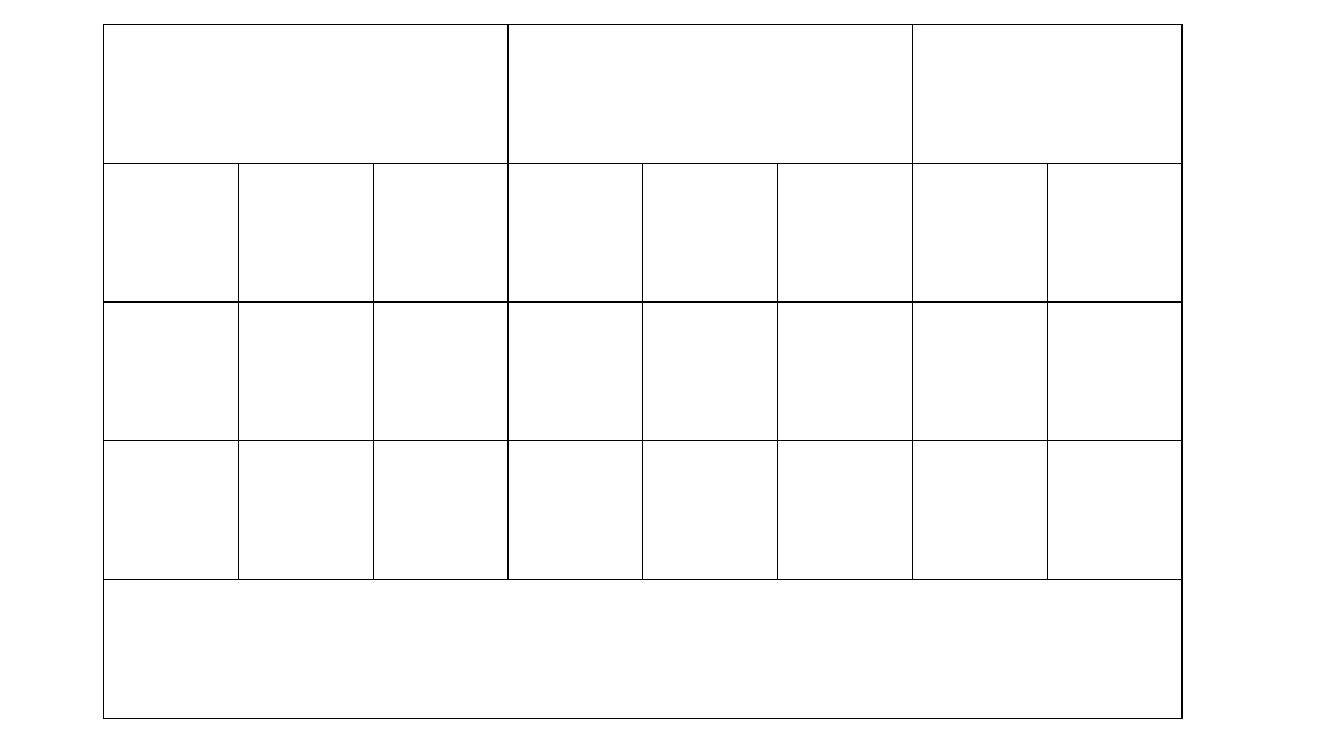
from dataclasses import dataclass

from lxml.etree import SubElement
from pptx import Presentation
from pptx.dml.color import RGBColor
from pptx.oxml.ns import qn
from pptx.util import Pt


@dataclass(frozen=True)
class Theme:
    border: str = "000000"
    background: str = "FFFFFF"
    border_width: float = 1
    font: str = "Calibri"
    text_size: float = 18


class SlideBuilder:
    def __init__(self, slide, theme):
        self.slide = slide
        self.theme = theme

    def background(self):
        fill = self.slide.background.fill
        fill.solid()
        fill.fore_color.rgb = RGBColor.from_string(self.theme.background)

    def cell(self, cell):
        cell.fill.background()
        paragraph = cell.text_frame.paragraphs[0]
        paragraph.font.name = self.theme.font
        paragraph.font.size = Pt(self.theme.text_size)
        properties = cell._tc.get_or_add_tcPr()
        for position, side in enumerate(("a:lnL", "a:lnR", "a:lnT", "a:lnB")):
            line = SubElement(properties, qn(side), w=str(Pt(self.theme.border_width)))
            solid = SubElement(line, qn("a:solidFill"))
            SubElement(solid, qn("a:srgbClr"), val=self.theme.border)
            properties.insert(position, line)

    def table(self, left, top, column_width, row_height, columns, rows, spans):
        frame = self.slide.shapes.add_table(
            rows, columns, Pt(left), Pt(top),
            Pt(column_width * columns), Pt(row_height * rows),
        )
        table = frame.table
        table.first_row = False
        table.horz_banding = False
        for column in table.columns:
            column.width = Pt(column_width)
        for row in table.rows:
            row.height = Pt(row_height)
        for cell in table.iter_cells():
            self.cell(cell)
        for row, first, last in spans:
            table.cell(row, first).merge(table.cell(row, last))


def main():
    presentation = Presentation()
    presentation.slide_width = Pt(960)
    presentation.slide_height = Pt(540)
    slide = presentation.slides.add_slide(presentation.slide_layouts[6])
    builder = SlideBuilder(slide, Theme())
    builder.background()
    builder.table(
        left=74, top=17.5, column_width=96.3, row_height=99.15,
        columns=8, rows=5,
        spans=[(0, 0, 2), (0, 3, 5), (0, 6, 7), (4, 0, 7)],
    )
    presentation.save("out.pptx")


if __name__ == "__main__":
    main()
